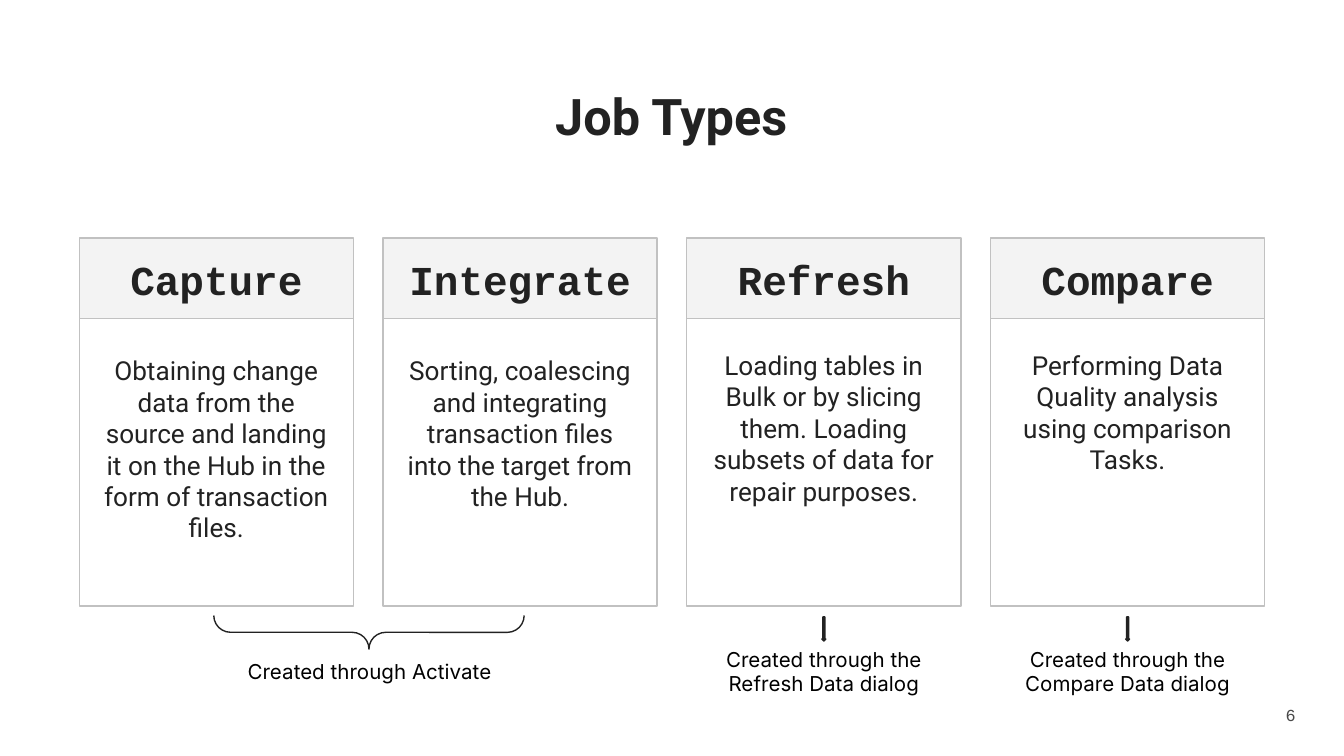
"""Build the Job Types slide: four job cards and how each job is created."""
from pptx import Presentation
from pptx import util as u
from pptx.dml import color
from pptx.enum import shapes, text

COLORS = {"ink": "222222", "black": "000000", "page": "494949",
          "border": "C1C1C1", "header": "F3F3F3", "body": "FFFFFF"}
JOBS = [
    ("Capture", "Obtaining change data from the source and landing it on the Hub "
                "in the form of transaction files.", 2.64),
    ("Integrate", "Sorting, coalescing and integrating transaction files into "
                  "the target from the Hub.", 2.64),
    ("Refresh", "Loading tables in Bulk or by slicing them. Loading subsets of "
                "data for repair purposes.", 2.6),
    ("Compare", "Performing Data Quality analysis using comparison Tasks.", 2.6),
]
ORIGINS = [
    (2.75, "Created through Activate"),
    (6.13, "Created through the Refresh Data dialog"),
    (8.39, "Created through the Compare Data dialog"),
]
LEFT, PITCH, CARD_W = 0.59, 2.26, 2.04
HEADER_TOP, HEADER_H, BODY_H = 1.77, 0.6, 2.14
TEXT_W, NOTE_W, ARROW_W = 1.73, 2.09, 0.03


def rgb(name):
    return color.RGBColor.from_string(COLORS[name])


def add_shape(s, kind, box, fill, line):
    sp = s.shapes.add_shape(kind, *map(u.Inches, box))
    sp.shadow.inherit = False
    if fill:
        sp.fill.solid()
        sp.fill.fore_color.rgb = rgb(fill)
    else:
        sp.fill.background()
    sp.line.color.rgb = rgb(line)
    sp.line.width = u.Pt(0.75)
    return sp


def add_text(s, words, box, font, size, ink="ink", bold=False, inset=0,
             anchor=text.MSO_ANCHOR.TOP, align=text.PP_ALIGN.CENTER):
    tf = s.shapes.add_textbox(*map(u.Inches, box)).text_frame
    tf.word_wrap = True
    tf.vertical_anchor = anchor
    tf.margin_left = tf.margin_right = u.Inches(inset)
    tf.margin_top = tf.margin_bottom = u.Inches(inset)
    p = tf.paragraphs[0]
    p.alignment = align
    r = p.add_run()
    r.text = words
    r.font.name, r.font.size, r.font.bold = font, u.Pt(size), bold
    r.font.color.rgb = rgb(ink)


def main():
    prs = Presentation()
    prs.slide_width = u.Inches(10)
    prs.slide_height = prs.slide_width * 9 // 16
    s = prs.slides.add_slide(prs.slide_layouts[6])
    shape, middle = shapes.MSO_SHAPE, text.MSO_ANCHOR.MIDDLE

    add_text(s, "Job Types", (1.76, 0.63, 6.47, 0.54), "Roboto", 27, bold=True)

    for i, (name, description, text_top) in enumerate(JOBS):
        x = LEFT + i * PITCH
        add_shape(s, shape.RECTANGLE, (x, HEADER_TOP + HEADER_H, CARD_W, BODY_H),
                  "body", "border")
        add_shape(s, shape.RECTANGLE, (x, HEADER_TOP, CARD_W, HEADER_H),
                  "header", "border")
        add_text(s, name, (x, 1.87, CARD_W, 0.42), "Courier New", 22,
                 bold=True, inset=0.04, anchor=middle)
        add_text(s, description, (x + (CARD_W - TEXT_W) / 2, text_top, TEXT_W, 1.68),
                 "Roboto", 14)

    brace = add_shape(s, shape.RIGHT_BRACE, (2.62, 3.55, 0.25, 2.31), None, "ink")
    brace.rotation = 90
    brace.adjustments[0] = brace.adjustments[1] = 0.5

    for center, note in ORIGINS:
        add_text(s, note, (center - NOTE_W / 2, 4.8, NOTE_W, 0.39), "Inter", 11,
                 ink="black", inset=0.1, anchor=middle)
    for center, _ in ORIGINS[1:]:
        add_shape(s, shape.DOWN_ARROW, (center - ARROW_W / 2, 4.59, ARROW_W, 0.18),
                  "ink", "ink")

    add_text(s, "6", (9.39, 5.16, 0.25, 0.31), "Courier New", 9, ink="page",
             anchor=middle, align=text.PP_ALIGN.RIGHT)
    prs.save("out.pptx")


if __name__ == "__main__":
    main()
